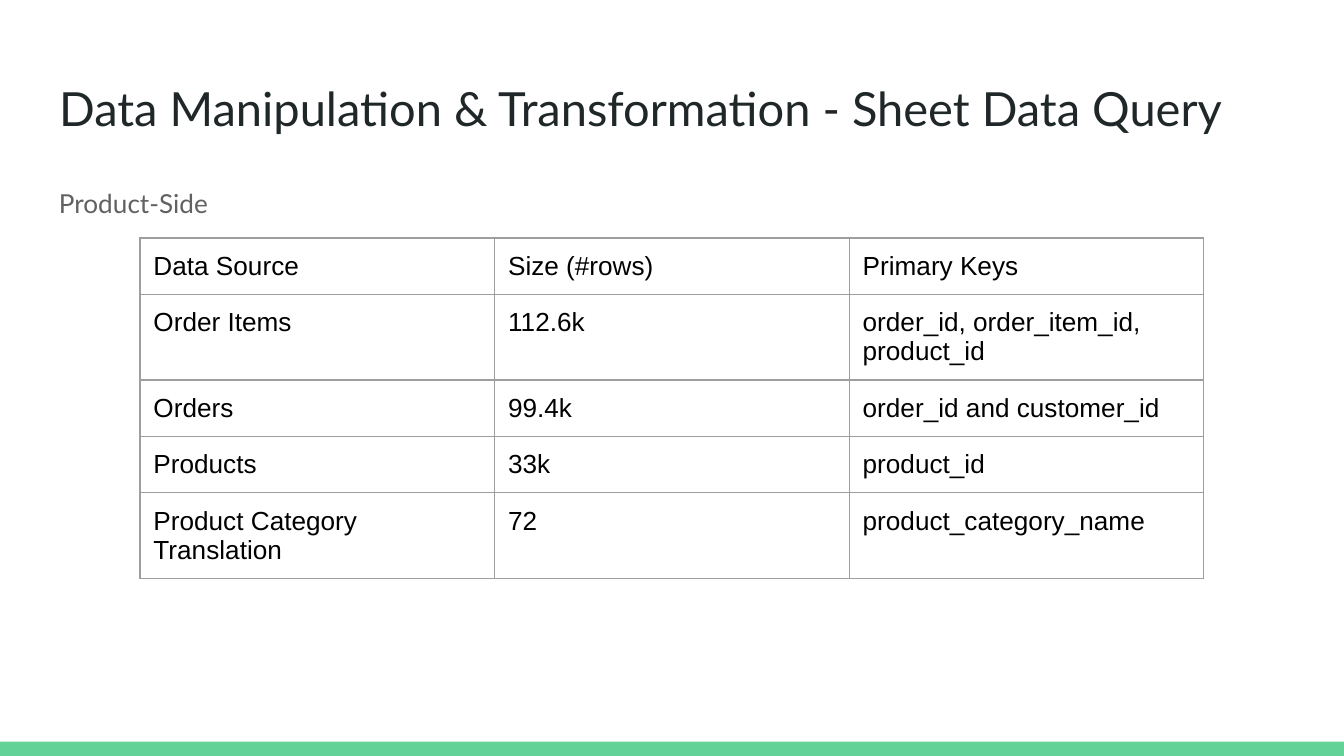
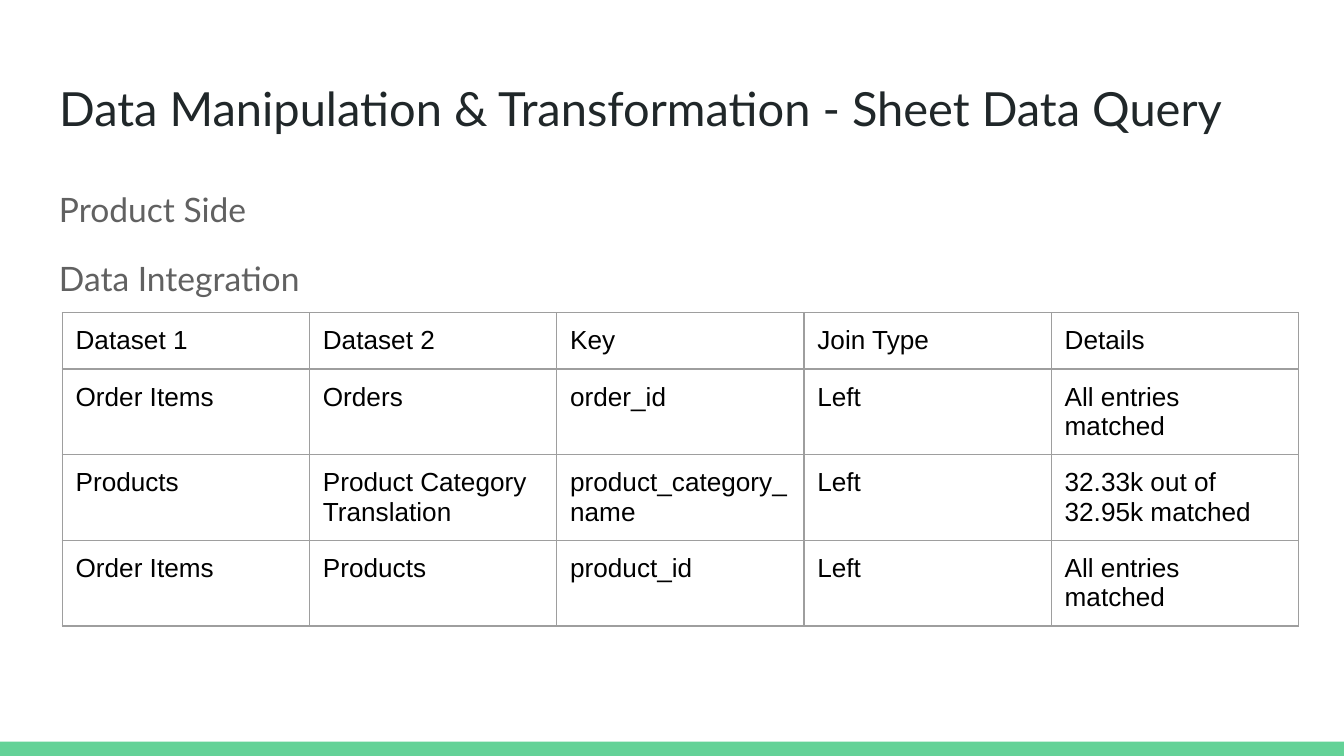
from lxml import etree
from pptx import Presentation
from pptx.dml.color import RGBColor
from pptx.enum import shapes, text
from pptx.oxml import ns
from pptx.util import Pt

SLIDE_W, SLIDE_H = 720, 405
BAND_H = 7.7
INSET = 7.2
TITLE_BOX = (24.5, 35.3, 671, 45.1)
BODY_BOX = (24.5, 90.7, 671, 269.3)
ROW_H = 30.24
GREEN, INK, GREY, BLACK, RULE = "63D297", "202729", "616161", "000000", "9E9E9E"
TITLE = "Data Manipulation & Transformation - Sheet Data Query"


def color(value):
    return RGBColor.from_string(value)


def write(p, words, size, font, fill, **spacing):
    r = p.add_run()
    r.text = words
    r.font.color.rgb = color(fill)
    for name, value in dict(size=Pt(size), name=font, bold=False).items():
        setattr(r.font, name, value)
    for name, value in dict(alignment=text.PP_ALIGN.LEFT, **spacing).items():
        setattr(p, name, value)


def set_frame(tf):
    frame = dict(word_wrap=True, auto_size=text.MSO_AUTO_SIZE.NONE,
                 vertical_anchor=text.MSO_ANCHOR.TOP)
    for side in ("left", "right", "top", "bottom"):
        frame["margin_" + side] = Pt(INSET)
    for name, value in frame.items():
        setattr(tf, name, value)


def add_band(s, box):
    band = s.shapes.add_shape(shapes.MSO_SHAPE.RECTANGLE, *map(Pt, box))
    band.shadow.inherit = False
    band.fill.solid()
    band.fill.fore_color.rgb = color(GREEN)
    band.line.fill.background()


def set_title(s, box):
    sp = s.shapes.title
    for name, value in zip(("left", "top", "width", "height"), box):
        setattr(sp, name, Pt(value))
    set_frame(sp.text_frame)
    write(sp.text_frame.paragraphs[0], TITLE, 25.2, "Lato", INK)


def add_headings(s, box, headings, size):
    tf = s.shapes.add_textbox(*map(Pt, box)).text_frame
    set_frame(tf)
    for i, words in enumerate(headings):
        p = tf.add_paragraph() if i else tf.paragraphs[0]
        write(p, words, size, "Lato", GREY, line_spacing=1.15,
              space_before=Pt(12 if i else 0), space_after=Pt(0))


def add_borders(cell):
    props = cell._tc.get_or_add_tcPr()
    for side in ("lnL", "lnR", "lnT", "lnB"):
        line = etree.SubElement(props, ns.qn("a:" + side), w=str(Pt(0.75)))
        fill = etree.SubElement(line, ns.qn("a:solidFill"))
        etree.SubElement(fill, ns.qn("a:srgbClr"), val=RULE)


def add_grid(s, box, rows):
    left, top, width = box
    n_cols = len(rows[0])
    table = s.shapes.add_table(len(rows), n_cols, Pt(left), Pt(top),
                               Pt(width), Pt(ROW_H * len(rows))).table
    table.first_row = table.horz_banding = False
    for column in table.columns:
        column.width = Pt(width / n_cols)
    for i, row in enumerate(rows):
        table.rows[i].height = Pt(ROW_H)
        for j, words in enumerate(row):
            cell = table.cell(i, j)
            for side in ("left", "right", "top", "bottom"):
                setattr(cell, "margin_" + side, Pt(INSET))
            add_borders(cell)
            cell.fill.background()
            write(cell.text_frame.paragraphs[0], words, 14, "Arial", BLACK)


def add_table_slide(prs, headings, size, grid_box, rows):
    s = prs.slides.add_slide(prs.slide_layouts[5])
    add_band(s, (0, SLIDE_H - BAND_H, SLIDE_W, BAND_H))
    set_title(s, TITLE_BOX)
    add_headings(s, BODY_BOX, headings, size)
    add_grid(s, grid_box, rows)


def main():
    prs = Presentation()
    prs.slide_width, prs.slide_height = Pt(SLIDE_W), Pt(SLIDE_H)

    # Data sources
    add_table_slide(prs, ["Product-Side"], 14, (75, 127.5, 570), [
        ("Data Source", "Size (#rows)", "Primary Keys"),
        ("Order Items", "112.6k", "order_id, order_item_id, product_id"),
        ("Orders", "99.4k", "order_id and customer_id"),
        ("Products", "33k", "product_id"),
        ("Product Category Translation", "72", "product_category_name"),
    ])

    # Joins between the sources
    add_table_slide(prs, ["Product Side", "Data Integration"], 18, (33.3, 167.5, 662.4), [
        ("Dataset 1", "Dataset 2", "Key", "Join Type", "Details"),
        ("Order Items", "Orders", "order_id", "Left", "All entries matched"),
        ("Products", "Product Category Translation", "product_category_name",
         "Left", "32.33k out of 32.95k matched"),
        ("Order Items", "Products", "product_id", "Left", "All entries matched"),
    ])

    prs.save("out.pptx")


if __name__ == "__main__":
    main()
